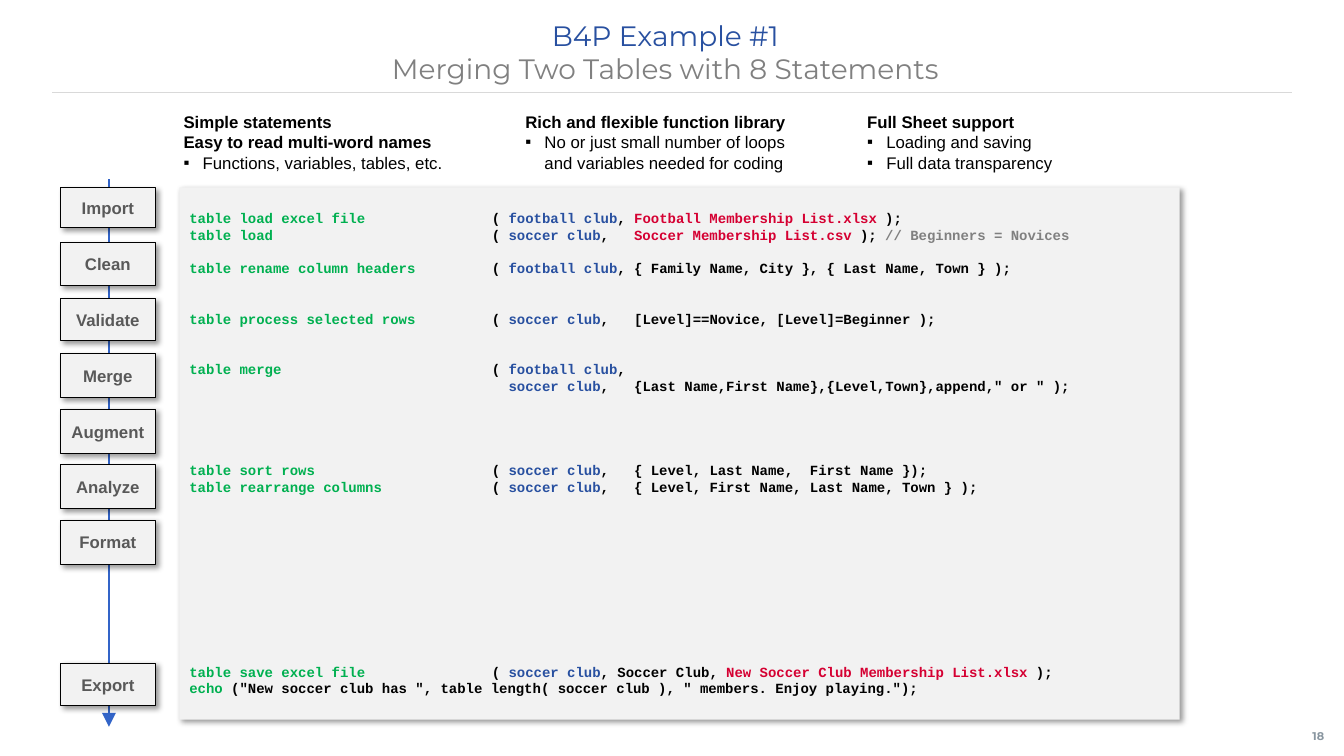
from dataclasses import dataclass

from lxml import etree
from pptx import Presentation, util as u
from pptx.dml.color import RGBColor
from pptx.enum import shapes, text
from pptx.oxml import ns


@dataclass(frozen=True)
class Theme:
    command: str = "00B050"
    table: str = "2850A0"
    file: str = "D50032"
    ink: str = "000000"
    muted: str = "808080"
    label: str = "595959"
    number: str = "8996A0"
    panel: str = "F2F2F2"
    rule: str = "D9D9D9"
    arrow: str = "3264C8"
    title_font: str = "Montserrat"
    body_font: str = "Arial"
    code_font: str = "Courier New"
    title_size: int = 20
    body_size: int = 12
    code_size: int = 10
    number_size: int = 8
    code_pitch: int = 12


THEME = Theme()
LIST_LEFT, LIST_TOP, LIST_PITCH = 1.78, 1.07, 3.39
STEP_LEFT, STEP_TOP, STEP_PITCH, STEP_WIDTH = 0.6, 1.86, 0.55, 0.94
CODE_TAB = 3

LISTS = [
    (["Simple statements", "Easy to read multi-word names"],
     ["Functions, variables, tables, etc."]),
    (["Rich and flexible function library"],
     ["No or just small number of loops\vand variables needed for coding"]),
    (["Full Sheet support"], ["Loading and saving", "Full data transparency"]),
]
STEPS = [
    ("Import", 0, 0.4), ("Clean", 1, 0.42), ("Validate", 2, 0.42),
    ("Merge", 3, 0.43), ("Augment", 4, 0.44), ("Analyze", 5, 0.44),
    ("Format", 6, 0.44), ("Export", 8.58, 0.42),
]


def call(command, table, *rest):
    return [(THEME.command, command), (THEME.ink, "\t( "), (THEME.table, table), *rest]


def ink(code):
    return THEME.ink, code


STATEMENTS = [
    (0, call("table load excel file", "football club", ink(", "),
             (THEME.file, "Football Membership List.xlsx"), ink(" );"))),
    (0, call("table load", "soccer club", ink(",   "),
             (THEME.file, "Soccer Membership List.csv "), ink("); "),
             (THEME.muted, "// Beginners = Novices"))),
    (1, call("table rename column headers", "football club",
             ink(", { Family Name, City }, { Last Name, Town } );"))),
    (2, call("table process selected rows", "soccer club",
             ink(",   [Level]==Novice, [Level]=Beginner );"))),
    (2, call("table merge", "football club", ink(","))),
    (0, [(THEME.table, "\t  soccer club"),
         ink(',   {Last Name,First Name},{Level,Town},append," or " );')]),
    (4, call("table sort rows", "soccer club",
             ink(",   { Level, Last Name,  First Name });"))),
    (0, call("table rearrange columns", "soccer club",
             ink(",   { Level, First Name, Last Name, Town } );"))),
    (10, call("table save excel file", "soccer club", ink(", Soccer Club, "),
              (THEME.file, "New Soccer Club Membership List.xlsx"), ink(" );"))),
    (0, [(THEME.command, "echo "),
         ink('("New soccer club has ", table length( soccer club ), " members. Enjoy playing.");')]),
]


def color(value):
    return RGBColor.from_string(value)


def set_font(font, name, size, bold=False, fill=None):
    font.name, font.size, font.bold = name, u.Pt(size), bold
    if fill:
        font.color.rgb = color(fill)


def set_frame(frame, margins, anchor=text.MSO_ANCHOR.TOP, wrap=True):
    frame.auto_size = text.MSO_AUTO_SIZE.NONE
    frame.word_wrap = wrap
    frame.vertical_anchor = anchor
    (frame.margin_left, frame.margin_top,
     frame.margin_right, frame.margin_bottom) = map(u.Inches, margins)


def place(shape, left, top, width, height):
    shape.left, shape.top, shape.width, shape.height = map(
        u.Inches, (left, top, width, height))


def add_paragraph(frame, index):
    return frame.paragraphs[0] if index == 0 else frame.add_paragraph()


def add_xml(parent, tag, **attributes):
    return etree.SubElement(parent, ns.qn(tag), attributes)


def add_runs(paragraph, pieces):
    for fill, content in pieces:
        run = paragraph.add_run()
        run.text = content
        run.font.color.rgb = color(fill)


def add_line(slide, start, end, fill, width, arrow=False):
    line = slide.shapes.add_connector(
        shapes.MSO_CONNECTOR.STRAIGHT, *map(u.Inches, (*start, *end)))
    line.line.color.rgb = color(fill)
    line.line.width = u.Pt(width)
    if arrow:
        add_xml(line.line._get_or_add_ln(), "a:tailEnd", type="triangle", w="lg", len="lg")
    add_xml(line._element.spPr, "a:effectLst")


def add_card(slide, left, top, width, height, outline=None):
    card = slide.shapes.add_shape(
        shapes.MSO_SHAPE.RECTANGLE, *map(u.Inches, (left, top, width, height)))
    card.fill.solid()
    card.fill.fore_color.rgb = color(THEME.panel)
    if outline:
        card.line.color.rgb = color(outline)
        card.line.width = u.Pt(0.75)
    else:
        card.line.fill.background()
    card.shadow.inherit = False
    effects = card._element.spPr.find(ns.qn("a:effectLst"))
    shadow = add_xml(effects, "a:outerShdw", blurRad=str(u.Pt(4)), dist=str(u.Pt(3)),
                     dir="2700000", algn="tl", rotWithShape="0")
    add_xml(add_xml(shadow, "a:srgbClr", val=THEME.ink), "a:alpha", val="40000")
    return card


def fill_title(title):
    place(title, 0.51, 0.13, 12.28, 0.79)
    set_frame(title.text_frame, (0, 0.05, 0.1, 0.05))
    paragraph = title.text_frame.paragraphs[0]
    paragraph.alignment = text.PP_ALIGN.CENTER
    set_font(paragraph.font, THEME.title_font, THEME.title_size)
    add_runs(paragraph, [(THEME.table, "B4P Example #1")])
    paragraph.add_line_break()
    add_runs(paragraph, [(THEME.muted, "Merging Two Tables with 8 Statements")])


def fill_list(body, column, headings, bullets):
    place(body, LIST_LEFT + column * LIST_PITCH, LIST_TOP, 3.15, 0.71)
    set_frame(body.text_frame, (0.04,) * 4)
    for index, content in enumerate(headings + bullets):
        is_heading = index < len(headings)
        paragraph = add_paragraph(body.text_frame, index)
        paragraph.text = content
        properties = paragraph._p.get_or_add_pPr()
        indent = 0 if is_heading else u.Inches(0.19)
        properties.set("marL", str(indent))
        properties.set("indent", str(-indent))
        if is_heading:
            add_xml(properties, "a:buNone")
        else:
            add_xml(properties, "a:buFont", typeface=THEME.body_font)
            add_xml(properties, "a:buChar", char="▪")
        paragraph.space_before = u.Pt(0)
        set_font(paragraph.font, THEME.body_font, THEME.body_size, is_heading, THEME.ink)


def add_code(slide):
    panel = add_card(slide, LIST_LEFT, STEP_TOP, 9.92, 5.28)
    set_frame(panel.text_frame, (0.1, 0.22, 0.1, 0.05))
    for index, (gap, pieces) in enumerate(STATEMENTS):
        paragraph = add_paragraph(panel.text_frame, index)
        tabs = add_xml(paragraph._p.get_or_add_pPr(), "a:tabLst")
        add_xml(tabs, "a:tab", pos=str(u.Inches(CODE_TAB)), algn="l")
        paragraph.alignment = text.PP_ALIGN.LEFT
        paragraph.line_spacing = u.Pt(THEME.code_pitch)
        if gap:
            paragraph.space_before = u.Pt(gap * THEME.code_pitch)
        set_font(paragraph.font, THEME.code_font, THEME.code_size, True)
        add_runs(paragraph, pieces)


def fill_label(shape, content, margins, font, size, fill):
    set_frame(shape.text_frame, margins, text.MSO_ANCHOR.MIDDLE, False)
    paragraph = shape.text_frame.paragraphs[0]
    paragraph.text = content
    paragraph.alignment = text.PP_ALIGN.CENTER
    set_font(paragraph.font, font, size, True, fill)


def main():
    presentation = Presentation()
    presentation.slide_width, presentation.slide_height = u.Inches(13.33), u.Inches(7.5)
    slide = presentation.slides.add_slide(presentation.slide_layouts.get_by_name("Comparison"))
    title, *bodies, spare = slide.placeholders
    spare._element.getparent().remove(spare._element)
    fill_title(title)
    for column, (body, (headings, bullets)) in enumerate(zip(bodies, LISTS)):
        fill_list(body, column, headings, bullets)
    add_line(slide, (0.52, 0.92), (12.81, 0.92), THEME.rule, 1)
    add_line(slide, (1.08, 1.78), (1.08, 7.21), THEME.arrow, 1.75, arrow=True)
    add_code(slide)
    for name, row, height in STEPS:
        step = add_card(slide, STEP_LEFT, STEP_TOP + row * STEP_PITCH,
                        STEP_WIDTH, height, THEME.ink)
        fill_label(step, name, (0.04,) * 4, THEME.body_font, THEME.body_size, THEME.label)
    number = slide.shapes.add_textbox(*map(u.Inches, (12.89, 7.11, 0.45, 0.39)))
    fill_label(number, "18", (0, 0.05, 0.08, 0.05), THEME.title_font,
               THEME.number_size, THEME.number)
    presentation.save("out.pptx")


if __name__ == "__main__":
    main()
